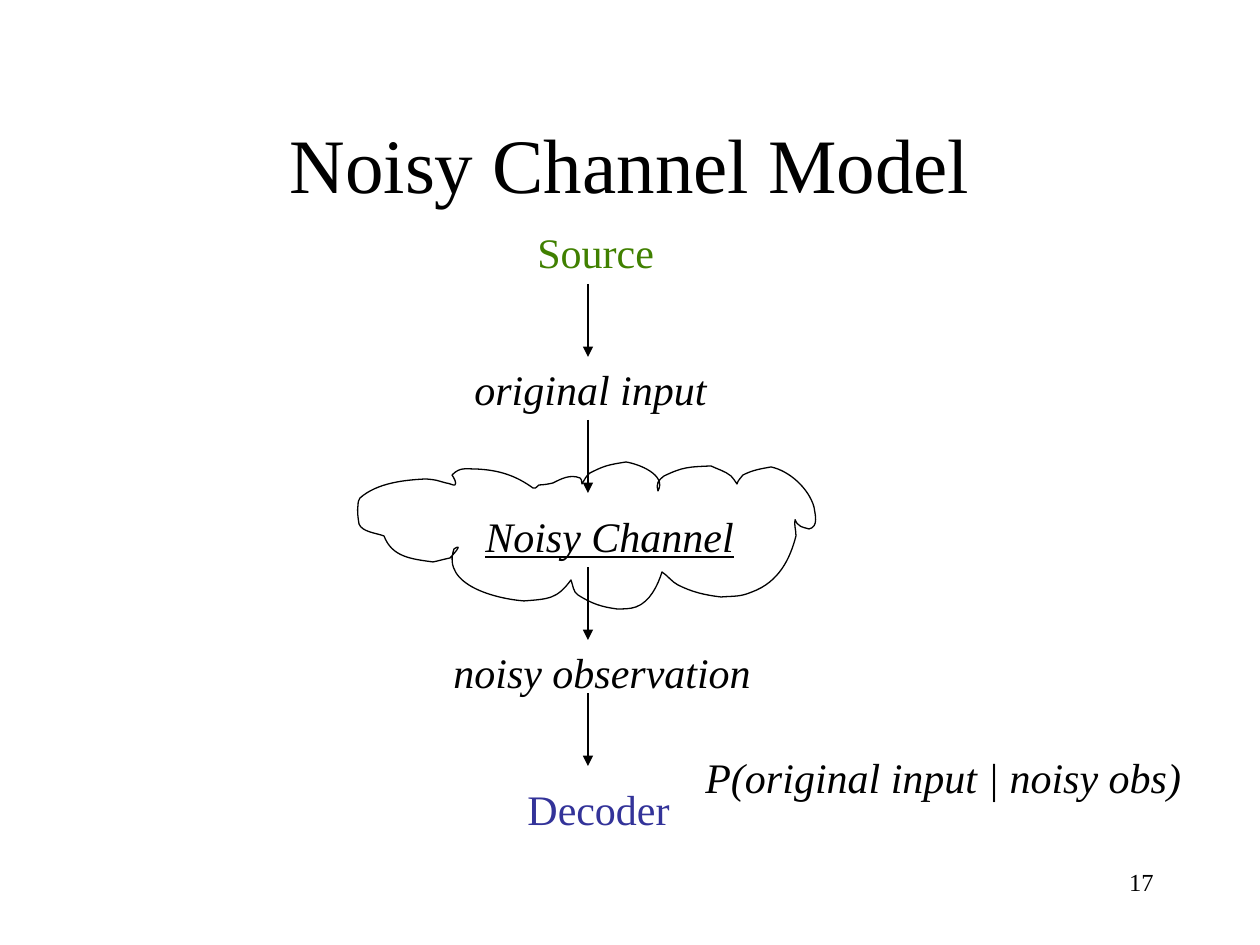
from typing import NamedTuple

from lxml import etree
from pptx import Presentation, util as u
from pptx.dml.color import RGBColor
from pptx.enum import shapes, text
from pptx.oxml import ns

BLACK = RGBColor(0x00, 0x00, 0x00)
GREEN = RGBColor(0x40, 0x80, 0x00)
INDIGO = RGBColor(0x33, 0x33, 0x99)
FONT = "Times New Roman"
SCALE = u.Inches(1) / 126
LINE_WIDTH = u.Pt(0.75)
LABEL_HEIGHT = 63
ARROW_X = 588

Point = tuple[int, int]


class Label(NamedTuple):
    words: str
    left: int
    top: int
    width: int
    height: int = LABEL_HEIGHT
    size: int = 24
    color: RGBColor = BLACK
    italic: bool = False
    underline: bool = False
    align: text.PP_ALIGN = text.PP_ALIGN.LEFT
    anchor: text.MSO_ANCHOR = text.MSO_ANCHOR.TOP
    wrap: bool = False


class Arrow(NamedTuple):
    top: int
    bottom: int


LABELS = [
    Label("17", 903, 861, 263, size=14, align=text.PP_ALIGN.RIGHT, wrap=True),
    Label("Noisy Channel Model", 95, 84, 1070, 158, size=44, wrap=True,
          align=text.PP_ALIGN.CENTER, anchor=text.MSO_ANCHOR.MIDDLE),
    Label("Source", 525, 220, 143, color=GREEN),
    Label("original input", 462, 357, 258, italic=True),
    Label("Noisy Channel", 473, 504, 275, italic=True, underline=True),
    Label("noisy observation", 441, 640, 324, italic=True),
    Label("Decoder", 515, 777, 169, color=INDIGO),
    Label("P(original input | noisy obs)", 693, 745, 502, italic=True),
]
ARROWS = [Arrow(284, 357), Arrow(420, 493), Arrow(567, 640), Arrow(693, 766)]

# Cloud outline: two control points and an end point for each Bezier curve
CLOUD_START: Point = (533, 488)
CLOUD_CURVES: list[tuple[Point, Point, Point]] = [
    ((515, 475), (498, 470), (476, 469)), ((465, 469), (460, 467), (452, 475)),
    ((454, 478), (457, 483), (455, 485)), ((454, 486), (449, 483), (446, 483)),
    ((435, 480), (437, 480), (426, 479)), ((404, 480), (377, 483), (360, 498)),
    ((359, 500), (358, 501), (358, 505)), ((357, 511), (358, 518), (359, 524)),
    ((362, 532), (376, 533), (384, 536)), ((392, 557), (411, 559), (433, 562)),
    ((438, 561), (445, 559), (450, 558)), ((451, 557), (465, 542), (454, 549)),
    ((441, 586), (498, 599), (524, 601)), ((549, 599), (557, 599), (571, 580)),
    ((573, 585), (573, 592), (578, 595)), ((592, 604), (602, 607), (617, 609)),
    ((624, 609), (630, 609), (636, 607)), ((650, 602), (658, 585), (662, 572)),
    ((668, 576), (672, 582), (678, 585)), ((692, 592), (704, 595), (721, 597)),
    ((735, 596), (740, 597), (752, 592)), ((779, 582), (790, 559), (796, 536)),
    ((796, 530), (794, 525), (795, 520)), ((795, 518), (796, 524), (799, 525)),
    ((800, 527), (806, 528), (809, 529)), ((819, 527), (815, 514), (814, 507)),
    ((809, 489), (790, 471), (771, 467)), ((760, 469), (753, 470), (743, 475)),
    ((741, 478), (738, 480), (737, 484)), ((735, 481), (733, 478), (731, 476)),
    ((725, 471), (717, 469), (711, 466)), ((688, 467), (683, 467), (664, 476)),
    ((658, 481), (656, 483), (658, 491)), ((667, 475), (639, 464), (626, 462)),
    ((607, 465), (604, 466), (590, 473)), ((586, 476), (585, 479), (582, 484)),
    ((581, 481), (582, 478), (580, 478)), ((570, 474), (561, 479), (553, 483)),
    ((549, 484), (543, 485), (539, 485)), ((534, 489), (537, 488), (533, 488)),
]


def px(pixels: int) -> u.Emu:
    return u.Emu(round(pixels * SCALE))


def add_cloud(s) -> None:
    builder = s.shapes.build_freeform(*CLOUD_START, scale=SCALE)
    builder.add_line_segments([point for curve in CLOUD_CURVES for point in curve])
    sp = builder.convert_to_shape()
    # Join each three segments into one Bezier curve
    segments = list(sp._element.iter(ns.qn("a:lnTo")))
    for first, second, third in zip(segments[::3], segments[1::3], segments[2::3]):
        curve = etree.Element(ns.qn("a:cubicBezTo"))
        first.addprevious(curve)
        for segment in (first, second, third):
            curve.append(segment[0])
            segment.getparent().remove(segment)
    sp.shadow.inherit = False
    sp.fill.background()
    sp.line.color.rgb = BLACK
    sp.line.width = LINE_WIDTH


def add_arrow(s, arrow: Arrow) -> None:
    sp = s.shapes.add_connector(shapes.MSO_CONNECTOR.STRAIGHT, px(ARROW_X),
                                px(arrow.top), px(ARROW_X), px(arrow.bottom))
    sp.line.color.rgb = BLACK
    sp.line.width = LINE_WIDTH
    etree.SubElement(sp.line._get_or_add_ln(), ns.qn("a:tailEnd"), type="triangle")
    etree.SubElement(sp._element.spPr, ns.qn("a:effectLst"))


def add_label(s, label: Label) -> None:
    sp = s.shapes.add_textbox(px(label.left), px(label.top),
                              px(label.width), px(label.height))
    tf = sp.text_frame
    tf.word_wrap = label.wrap
    tf.vertical_anchor = label.anchor
    if not label.wrap:
        tf.auto_size = text.MSO_AUTO_SIZE.SHAPE_TO_FIT_TEXT
    p = tf.paragraphs[0]
    p.alignment = label.align
    r = p.add_run()
    r.text = label.words
    r.font.name = FONT
    r.font.size = u.Pt(label.size)
    r.font.color.rgb = label.color
    r.font.italic = label.italic
    r.font.underline = label.underline


prs = Presentation()
prs.slide_width, prs.slide_height = px(1260), px(945)
s = prs.slides.add_slide(prs.slide_layouts[6])

# Channel diagram
add_cloud(s)
for arrow in ARROWS:
    add_arrow(s, arrow)

# Title, labels and slide number
for label in LABELS:
    add_label(s, label)

prs.save("out.pptx")
